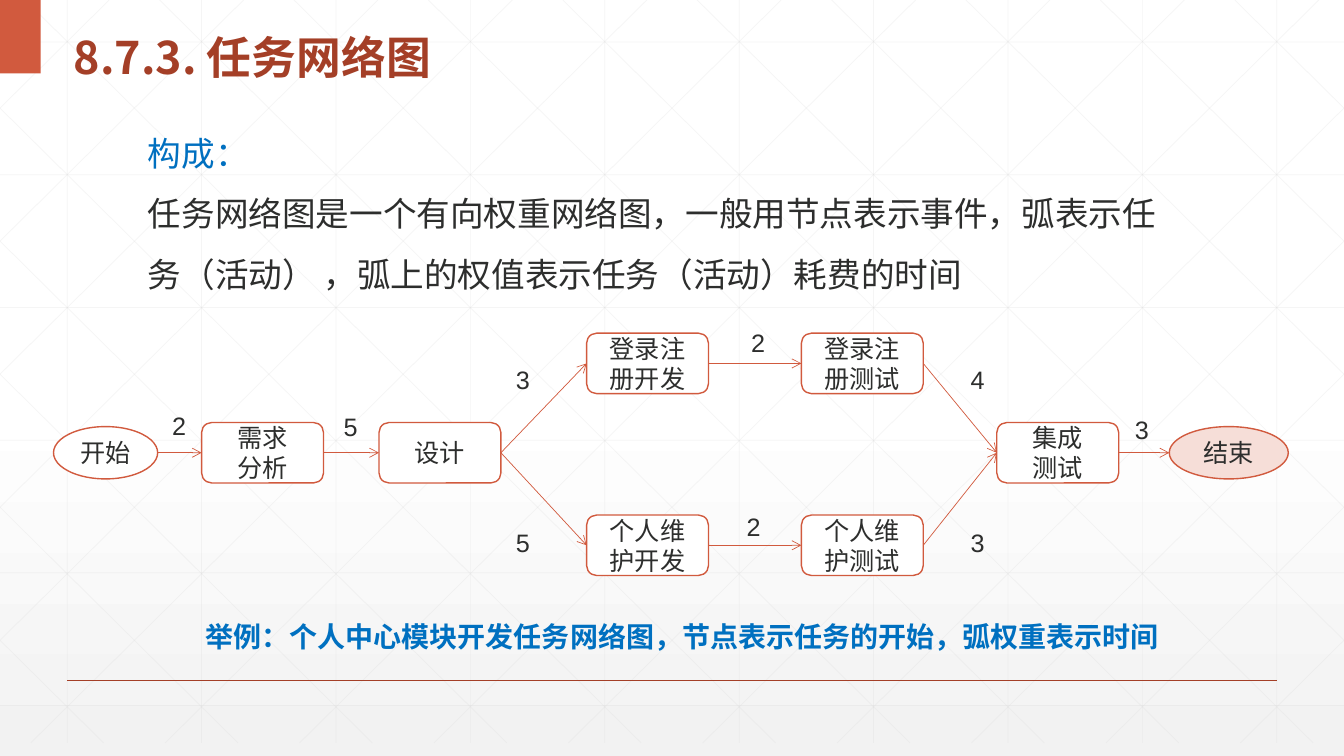
import pptx
import pptx.dml.color
import pptx.enum.shapes
import pptx.enum.text
import pptx.oxml
import pptx.oxml.ns
import pptx.util

Pt = pptx.util.Pt
color = pptx.dml.color.RGBColor.from_string
SHAPE = pptx.enum.shapes.MSO_SHAPE
ALIGN = pptx.enum.text.PP_ALIGN
ANCHOR = pptx.enum.text.MSO_ANCHOR
NAMESPACE = pptx.oxml.ns.nsdecls("a")
CJK_FONT = "Noto Sans CJK SC"
RUST, DARK_RUST, BLUE, INK = "D15A3E", "A43F27", "0070C0", "2D2E2D"
WIDTH, GRID_HEIGHT = 960, 530.6


def write_text(frame, lines, align=ALIGN.LEFT, spacing=1.0):
    """Fill a text frame; each line is (text, font colour, font attributes)."""
    for index, (text, font_color, attributes) in enumerate(lines):
        paragraph = frame.add_paragraph() if index else frame.paragraphs[0]
        paragraph.alignment = align
        paragraph.line_spacing = spacing
        run = paragraph.add_run()
        run.text = text
        run.font.color.rgb = color(font_color)
        for name, value in attributes.items():
            setattr(run.font, name, value)
        run.font.element.append(pptx.oxml.parse_xml(f'<a:ea {NAMESPACE} typeface="{CJK_FONT}"/>')) \
            if hasattr(run.font, "element") else \
            run._r.get_or_add_rPr().append(
                pptx.oxml.parse_xml(f'<a:ea {NAMESPACE} typeface="{CJK_FONT}"/>'))


def add_line(begin, end, line_color, width):
    """Draw a straight connector without a shadow."""
    connector = slide.shapes.add_connector(
        pptx.enum.shapes.MSO_CONNECTOR.STRAIGHT, *map(Pt, (*begin, *end)))
    connector.line.color.rgb = color(line_color)
    connector.line.width = Pt(width)
    connector.element.spPr.append(pptx.oxml.parse_xml(f"<a:effectLst {NAMESPACE}/>"))
    return connector


presentation = pptx.Presentation()
presentation.slide_width, presentation.slide_height = Pt(WIDTH), Pt(540)
slide = presentation.slides.add_slide(presentation.slide_layouts[5])

background = slide.background.fill
background.gradient()
background.gradient_angle = 270
for stop, position, stop_color in zip(background.gradient_stops, (0.53, 1), ("FFFFFF", "F2F2F2")):
    stop.position = position
    stop.color.rgb = color(stop_color)

# Background grid: verticals, horizontals, and diagonals clipped at the slide edges
grid = [((48 + 96 * i, 0), (48 + 96 * i, GRID_HEIGHT)) for i in range(10)]
grid += [((0, 30 + 94.8 * i), (WIDTH, 30 + 94.8 * i)) for i in range(6)]
slope = 0.99
for i in range(-5, 10):
    top_x = 18 + 96 * i
    left = max(top_x, 0)
    right = min(top_x + GRID_HEIGHT / slope, WIDTH)
    left_y, right_y = (left - top_x) * slope, (right - top_x) * slope
    grid.append(((left, left_y), (right, right_y)))
    grid.append(((WIDTH - left, left_y), (WIDTH - right, right_y)))
for begin, end in grid:
    grid_line = add_line(begin, end, "D9D9D9", 0.5)
    line_color = grid_line.element.spPr.find(".//" + pptx.oxml.ns.qn("a:srgbClr"))
    line_color.append(pptx.oxml.parse_xml(f'<a:alpha {NAMESPACE} val="25000"/>'))

add_line((48, 486), (912, 486), DARK_RUST, 1)
corner = slide.shapes.add_shape(SHAPE.RECTANGLE, 0, 0, Pt(29), Pt(52.5))
corner.shadow.inherit = False
corner.fill.solid()
corner.fill.fore_color.rgb = color(RUST)
corner.line.fill.background()

title = slide.shapes.title
title.left, title.top, title.width, title.height = map(Pt, (45.4, 8.6, 873.4, 52.6))
title.text_frame.vertical_anchor = ANCHOR.MIDDLE
title.text_frame.auto_size = pptx.enum.text.MSO_AUTO_SIZE.NONE
write_text(title.text_frame,
           [("8.7.3. 任务网络图", DARK_RUST, {"name": CJK_FONT, "size": Pt(32), "bold": True})],
           spacing=1.3)
slide.shapes.element.append(title.element)

definition = slide.shapes.add_textbox(*map(Pt, (98.6, 77, 751, 138)))
definition.text_frame.word_wrap = True
write_text(definition.text_frame, [
    ("构成：", BLUE, {"name": CJK_FONT, "size": Pt(24)}),
    ("任务网络图是一个有向权重网络图，一般用节点表示事件，弧表示任务（活动） ，"
     "弧上的权值表示任务（活动）耗费的时间", INK, {"name": "Arial", "size": Pt(24)}),
], spacing=1.5)

# Network nodes: left edge, vertical centre, width, height, outline, fill, lines of text
label_font = {"name": "Arial", "size": Pt(18)}
UPPER, MIDDLE, LOWER = 259.6, 323.4, 389.5
BOX = (87.1, 43.2, SHAPE.ROUNDED_RECTANGLE, "FFFFFF")
nodes = {}
for name, left, centre, (width, height, outline, fill), lines in [
    ("analysis", 144, MIDDLE, BOX, ["需求", "分析"]),
    ("design", 270.7, MIDDLE, BOX, ["设计"]),
    ("login_build", 419, UPPER, BOX, ["登录注册开发"]),
    ("profile_build", 419, LOWER, BOX, ["个人维护开发"]),
    ("login_test", 572.4, UPPER, BOX, ["登录注册测试"]),
    ("start", 38.2, MIDDLE, (74.4, 37.4, SHAPE.OVAL, "FFFFFF"), ["开始"]),
    ("profile_test", 572.4, LOWER, BOX, ["个人维护测试"]),
    ("integration", 712, MIDDLE, BOX, ["集成", "测试"]),
    ("finish", 835.2, MIDDLE, (85, 37.4, SHAPE.OVAL, "F6DED8"), ["结束"]),
]:
    node = slide.shapes.add_shape(outline, *map(Pt, (left, centre - height / 2, width, height)))
    node.shadow.inherit = False
    node.fill.solid()
    node.fill.fore_color.rgb = color(fill)
    node.line.color.rgb = color(RUST)
    node.line.width = Pt(1)
    node.text_frame.vertical_anchor = ANCHOR.MIDDLE
    write_text(node.text_frame, [(line, INK, label_font) for line in lines], ALIGN.CENTER)
    nodes[name] = (node, left, left + width, centre)

# Arcs: source, target, weight, left and top of the weight label
for source, target, weight, label_left, label_top in [
    ("start", "analysis", "2", 115.9, 289.4),
    ("analysis", "design", "5", 238.3, 290.5),
    ("design", "login_build", "3", 361.4, 256.6),
    ("design", "profile_build", "5", 361.4, 373),
    ("login_build", "login_test", "2", 529.5, 230),
    ("profile_build", "profile_test", "2", 526.3, 361.4),
    ("login_test", "integration", "4", 686.2, 256.6),
    ("profile_test", "integration", "3", 686.2, 373),
    ("integration", "finish", "3", 803.5, 292.3),
]:
    source_node, _, source_right, source_centre = nodes[source]
    target_node, target_left, _, target_centre = nodes[target]
    arc = add_line((source_right, source_centre), (target_left, target_centre), RUST, 0.5)
    arc.line._get_or_add_ln().append(
        pptx.oxml.parse_xml(f'<a:tailEnd {NAMESPACE} type="arrow"/>'))
    if source != "start":
        arc.begin_connect(source_node, 3)
    if target != "finish":
        arc.end_connect(target_node, 1)
    weight_label = slide.shapes.add_textbox(*map(Pt, (label_left, label_top, 24.4, 29)))
    weight_label.text_frame.word_wrap = False
    write_text(weight_label.text_frame, [(weight, INK, label_font)])

example = slide.shapes.add_textbox(*map(Pt, (139.7, 439.2, 701.3, 31.5)))
example.text_frame.word_wrap = False
write_text(example.text_frame, [
    ("举例：个人中心模块开发任务网络图，节点表示任务的开始，弧权重表示时间", BLUE,
     {"name": "Arial", "size": Pt(20), "bold": True}),
])

presentation.save("out.pptx")
